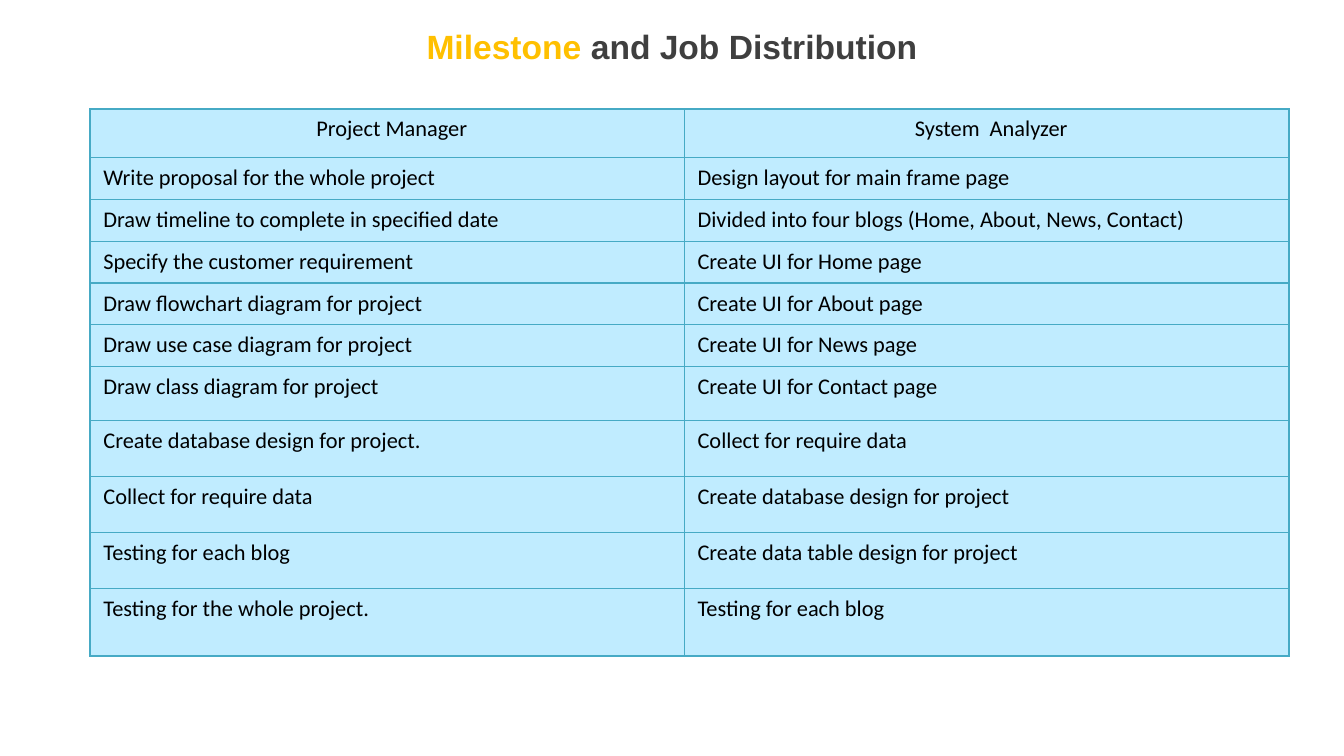
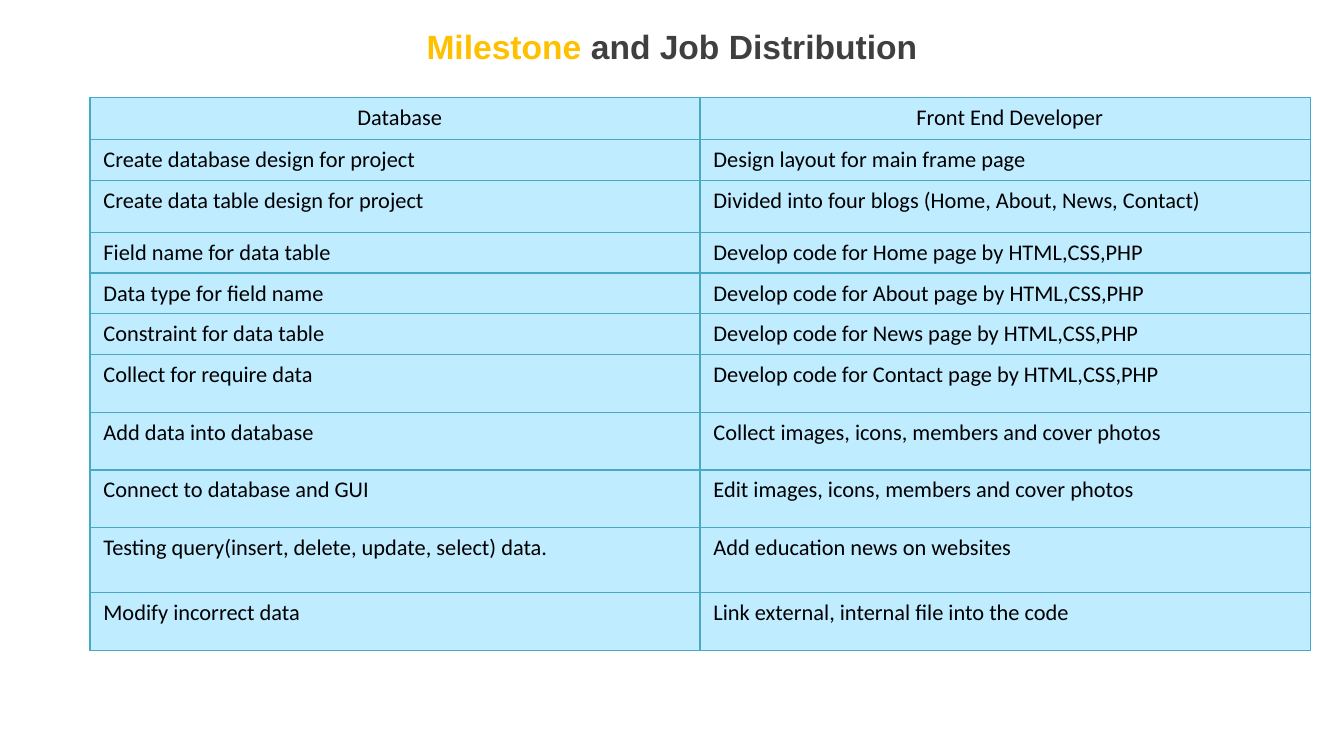
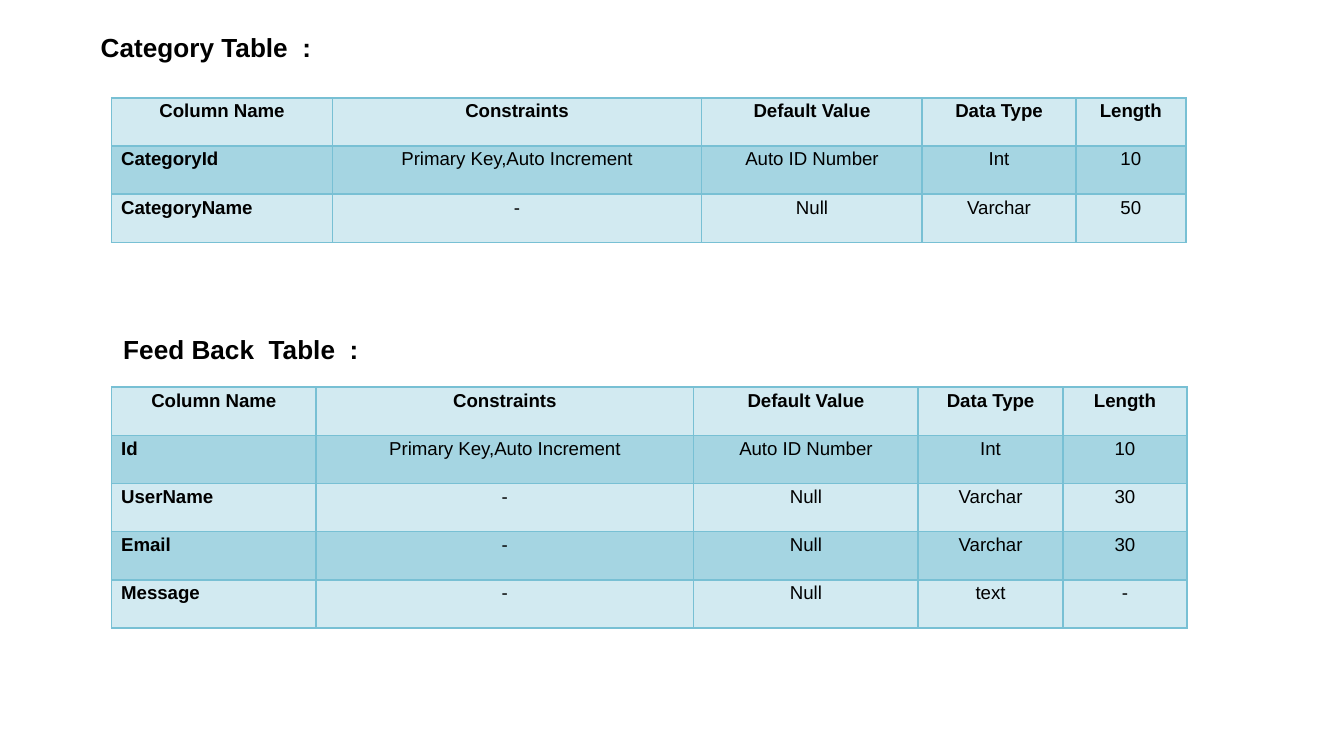
import pptx
import pptx.util
import pptx.dml.color
import pptx.enum.text
import pptx.oxml.ns
from lxml import etree

Cm = pptx.util.Cm
Pt = pptx.util.Pt
ALIGN = pptx.enum.text.PP_ALIGN
ANCHOR = pptx.enum.text.MSO_ANCHOR

COLORS = {
    "gold": "FFC000", "gray": "3F3F3F", "black": "000000",
    "sky": "C0ECFF", "teal": "46AAC5",
    "pale": "D2EAF1", "mid": "A5D5E2", "edge": "78C0D4",
}

TITLE = [("Milestone ", "gold"), ("and Job Distribution", "gray")]

JOBS = [
    {
        "top": 2.06, "cols": [11.23, 11.43],
        "heights": [0.92] + [0.79] * 5 + [1.02] + [1.06] * 3 + [1.27],
        "rows": [
            ("Project Manager", "System  Analyzer"),
            ("Write proposal for the whole project", "Design layout for main frame page"),
            ("Draw timeline to complete in specified date",
             "Divided into four blogs (Home, About, News, Contact)"),
            ("Specify the customer requirement", "Create UI for Home page"),
            ("Draw flowchart diagram for project", "Create UI for About page"),
            ("Draw use case diagram for project", "Create UI for News page"),
            ("Draw class diagram for project", "Create UI for Contact page"),
            ("Create database design for project.", "Collect for require data"),
            ("Collect for require data", "Create database design for project"),
            ("Testing for each blog", "Create data table design for project"),
            ("Testing for the whole project.", "Testing for each blog"),
        ],
    },
    {
        "top": 1.85, "cols": [11.53, 11.53],
        "heights": [0.79, 0.77, 0.98] + [0.77] * 3 + [1.09] * 3 + [1.23, 1.09],
        "rows": [
            ("Database", "Front End Developer"),
            ("Create database design for project", "Design layout for main frame page"),
            ("Create data table design for project",
             "Divided into four blogs (Home, About, News, Contact)"),
            ("Field name for data table", "Develop code for Home page by HTML,CSS,PHP"),
            ("Data type for field name", "Develop code for About page by HTML,CSS,PHP"),
            ("Constraint for data table", "Develop code for News page by HTML,CSS,PHP"),
            ("Collect for require data", "Develop code for Contact page by HTML,CSS,PHP"),
            ("Add data into database", "Collect images, icons, members and cover photos"),
            ("Connect to database and GUI", "Edit images, icons, members and cover photos"),
            ("Testing query(insert, delete, update, select) data.",
             "Add education news on websites"),
            ("Modify incorrect data", "Link external, internal file into the code"),
        ],
    },
]

HEADS = ("Column Name", "Constraints", "Default Value", "Data Type", "Length")
KEY = ("Primary Key,Auto Increment", "Auto ID Number", "Int", "10")
FIELDS = [
    {
        "label": "Category Table  :", "spot": (1.65, 0.46), "top": 1.85,
        "cols": [4.17, 6.98, 4.17, 2.9, 2.08],
        "rows": [HEADS, ("CategoryId",) + KEY,
                 ("CategoryName", "-", "Null", "Varchar", "50")],
    },
    {
        "label": "Feed Back  Table  :", "spot": (2.08, 6.17), "top": 7.32,
        "cols": [3.86, 7.14, 4.24, 2.74, 2.34],
        "rows": [HEADS, ("Id",) + KEY,
                 ("UserName", "-", "Null", "Varchar", "30"),
                 ("Email", "-", "Null", "Varchar", "30"),
                 ("Message", "-", "Null", "text", "-")],
    },
]
FIELD_ROW = 0.91


def rgb(name):
    return pptx.dml.color.RGBColor.from_string(COLORS[name])


def write(frame, runs, size, font="Arial", bold=False, align=ALIGN.LEFT,
          anchor=ANCHOR.TOP, line=None, before=None, indent=None):
    """Fill a frame with a string, or with (text, colour) pairs."""
    frame.word_wrap = True
    frame.vertical_anchor = anchor
    para = frame.paragraphs[0]
    para.alignment = align
    if line:
        para.line_spacing = line
    if before:
        para.space_before = Pt(before)
    if indent:
        para._p.get_or_add_pPr().set("marL", str(Cm(indent)))
    for text, color in [(runs, "black")] if isinstance(runs, str) else runs:
        run = para.add_run()
        run.text = text
        run.font.size, run.font.name, run.font.bold = Pt(size), font, bold
        run.font.color.rgb = rgb(color)


def edge(cell, color, width):
    """Draw the four borders of a cell."""
    props = cell._tc.get_or_add_tcPr()
    qn = pptx.oxml.ns.qn
    for side in ("a:lnL", "a:lnR", "a:lnT", "a:lnB"):
        line = etree.SubElement(props, qn(side), w=str(Pt(width)))
        fill = etree.SubElement(line, qn("a:solidFill"))
        etree.SubElement(fill, qn("a:srgbClr"), val=COLORS[color])


def grid(slide, rows, left, top, cols, heights, fills, border, style):
    """Add a table; fills cycle by row, style(row, col) gives text format."""
    table = slide.shapes.add_table(
        len(rows), len(cols), Cm(left), Cm(top),
        Cm(sum(cols)), Cm(sum(heights))).table
    table.first_row = table.horz_banding = False
    for col, width in zip(table.columns, cols):
        col.width = Cm(width)
    for r, (row, height) in enumerate(zip(rows, heights)):
        table.rows[r].height = Cm(height)
        for c, text in enumerate(row):
            cell = table.cell(r, c)
            edge(cell, *border)
            cell.fill.solid()
            cell.fill.fore_color.rgb = rgb(fills[r % len(fills)])
            write(cell.text_frame, text, **style(r, c))
            yield cell


def place(shape, left, top, width, height):
    shape.left, shape.top, shape.width, shape.height = map(
        Cm, (left, top, width, height))
    shape.text_frame.auto_size = pptx.enum.text.MSO_AUTO_SIZE.NONE
    return shape.text_frame


def job_style(r, c):
    style = {"size": 12, "font": "Calibri"}
    if r == 0:
        style.update(align=ALIGN.CENTER, before=7, indent=0.18)
    return style


def field_style(r, c):
    left = r > 0 and c == 0
    return {"size": 10, "line": 1.15, "bold": r == 0 or c == 0,
            "align": ALIGN.LEFT if left else ALIGN.CENTER}


def job_slide(slide, job):
    frame = place(slide.shapes.title, 0, 0.08, 25.4, 1.57)
    write(frame, TITLE, 18, bold=True, align=ALIGN.CENTER, anchor=ANCHOR.MIDDLE)
    list(grid(slide, job["rows"], 1.7, job["top"], job["cols"], job["heights"],
              ["sky"], ("teal", 0.75), job_style))


def field_slide(slide):
    for i, part in enumerate(FIELDS):
        box = slide.shapes.add_textbox(0, 0, 0, 0) if i else slide.shapes.title
        write(place(box, *part["spot"], 9.14, 0.99), part["label"], 14, bold=True)
        rows = part["rows"]
        for cell in grid(slide, rows, 2.11, part["top"], part["cols"],
                         [FIELD_ROW] * len(rows), ["pale", "mid"],
                         ("edge", 1), field_style):
            cell.margin_left = cell.margin_right = Cm(0.18)
            cell.margin_top = cell.margin_bottom = 0


def main():
    deck = pptx.Presentation()
    deck.slide_width, deck.slide_height = Cm(25.4), Cm(14.29)
    layout = deck.slide_layouts[5]
    for job in JOBS:
        job_slide(deck.slides.add_slide(layout), job)
    field_slide(deck.slides.add_slide(layout))
    deck.save("out.pptx")


if __name__ == "__main__":
    main()
